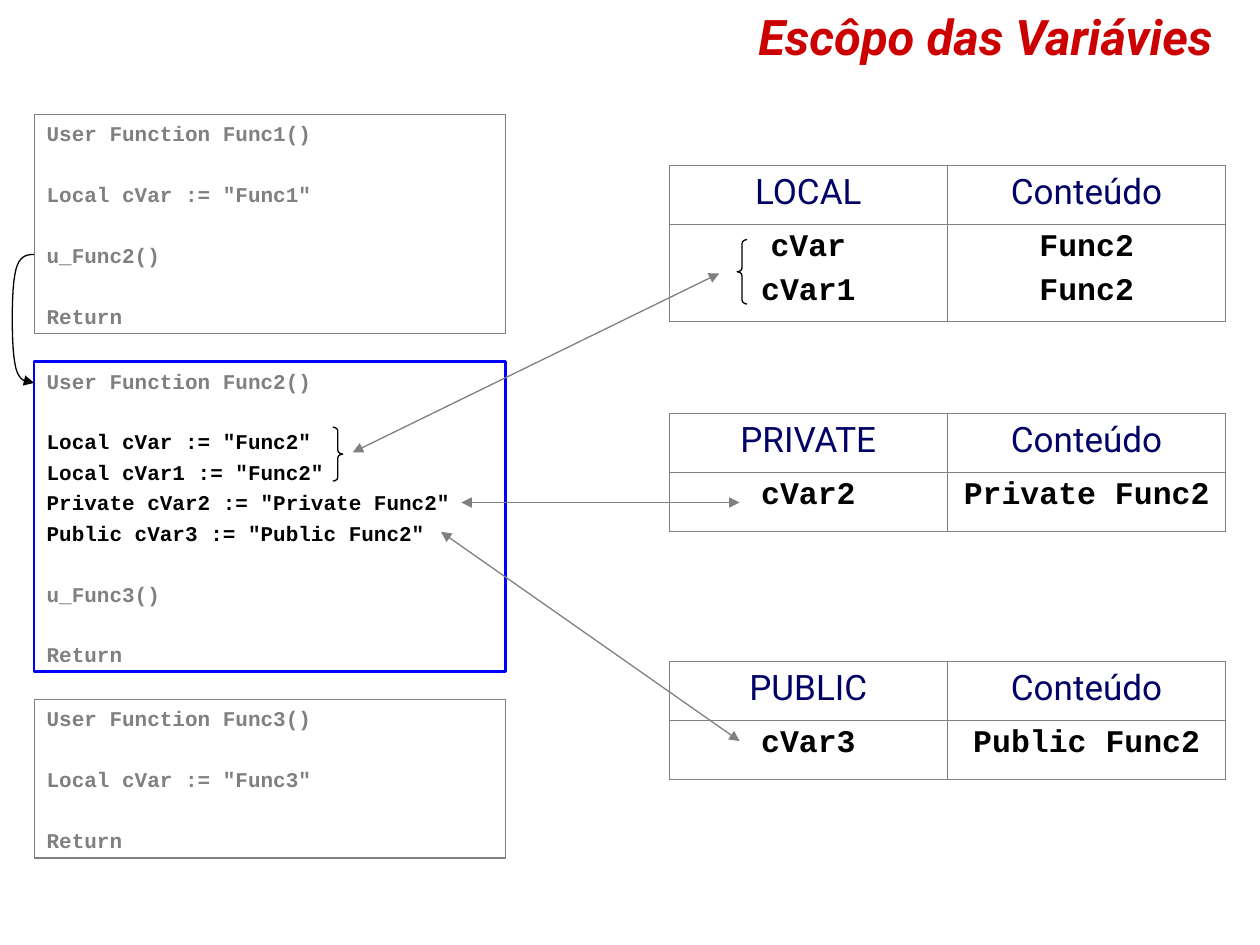
"""Builds a slide on variable scope: code boxes, scope tables and links."""
from lxml.etree import SubElement
from pptx import Presentation
from pptx.dml.color import RGBColor as RGB
from pptx.enum.shapes import MSO_CONNECTOR as CONN, MSO_SHAPE as SHAPE
from pptx.enum.text import MSO_ANCHOR as ANCHOR, PP_ALIGN as ALIGN
from pptx.oxml.ns import qn
from pptx.util import Cm, Pt

COLORS = {"gray": "808080", "blue": "0000FF", "navy": "000066",
          "red": "CC0000", "black": "000000"}
CODE, SANS = "Courier New", "Roboto"

BOXES = [
    (2.31, 4.42, "gray", 0.75, [
        ("gray", ["User Function Func1()"]),
        ("gray", ['Local cVar := "Func1"']),
        ("gray", ["u_Func2()"]),
        ("gray", ["Return"])]),
    (7.29, 6.25, "blue", 1.5, [
        ("gray", ["User Function Func2()"]),
        ("black", ['Local cVar := "Func2"', 'Local cVar1 := "Func2"',
                   'Private cVar2 := "Private Func2"',
                   'Public cVar3 := "Public Func2"']),
        ("gray", ["u_Func3()"]),
        ("gray", ["Return"])]),
    (14.1, 3.2, "gray", 0.75, [
        ("gray", ["User Function Func3()"]),
        ("gray", ['Local cVar := "Func3"']),
        ("gray", ["Return"])]),
]
TABLES = [
    ("LOCAL", ["cVar", "cVar1"], ["Func2", "Func2"], 1.95),
    ("PRIVATE", ["cVar2"], ["Private Func2"], 1.2),
    ("PUBLIC", ["cVar3"], ["Public Func2"], 1.2),
]
BRACES = [(SHAPE.RIGHT_BRACE, 6.71, 8.61, 1.09),
          (SHAPE.LEFT_BRACE, 14.86, 4.83, 1.3)]
LINKS = [(7.11, 9.12, 14.5, 5.51), (9.3, 10.13, 14.91, 10.13),
         (8.89, 10.72, 14.91, 14.94)]
CALL = [((0.69, 5.13), (0.53, 5.13), (0.36, 5.16), (0.3, 5.54)),
        ((0.3, 5.54), (0.23, 5.89), (0.23, 6.96), (0.3, 7.32)),
        ((0.3, 7.32), (0.36, 7.7), (0.53, 7.7), (0.69, 7.72))]


def tint(name):
    """Return the named colour."""
    return RGB.from_string(COLORS[name])


def style(par, face, size, color, bold=False, italic=False):
    """Set the font of a paragraph."""
    font = par.font
    font.name, font.size, font.bold, font.italic = face, Pt(size), bold, italic
    font.color.rgb = tint(color)


def stroke(shape, color, width=0.75):
    """Set the line of a shape."""
    shape.line.color.rgb = tint(color)
    shape.line.width = Pt(width)


def hollow(shape, color, width=0.75):
    """Leave a shape with only its outline."""
    shape.shadow.inherit = False
    shape.fill.background()
    stroke(shape, color, width)


def tip(shape, *ends):
    """Put triangle heads on the given line ends."""
    for end in ends:
        SubElement(shape.line._get_or_add_ln(), qn(f"a:{end}"), type="triangle")


def add_title(slide, text):
    """Add the slide title at the top right."""
    frame = slide.shapes.add_textbox(Cm(0.69), Cm(0), Cm(24), Cm(1.45)).text_frame
    frame.word_wrap = True
    par = frame.paragraphs[0]
    par.text, par.alignment = text, ALIGN.RIGHT
    style(par, SANS, 28, "red", True, True)


def add_code(slide, top, height, edge, width, groups):
    """Add a code box whose groups of lines are set apart."""
    box = slide.shapes.add_shape(SHAPE.RECTANGLE, Cm(0.69), Cm(top), Cm(9.5), Cm(height))
    hollow(box, edge, width)
    frame = box.text_frame
    frame.word_wrap, frame.vertical_anchor = True, ANCHOR.TOP
    frame.margin_top = Cm(0.13)
    for i, (color, lines) in enumerate(groups):
        for j, line in enumerate(lines):
            first = i == j == 0
            par = frame.paragraphs[0] if first else frame.add_paragraph()
            par.text, par.alignment = line, ALIGN.LEFT
            if not first:
                par.space_before = Pt(3 if j else 20.4)
            style(par, CODE, 12, color, True)


def fill_cell(cell, lines, *look):
    """Write centred lines in a cell and draw its borders."""
    cell.text = "\n".join(lines)
    for i, par in enumerate(cell.text_frame.paragraphs):
        par.alignment = ALIGN.CENTER
        if i:
            par.space_before = Pt(4.5)
        style(par, *look)
    props = cell._tc.get_or_add_tcPr()
    for side in ("lnL", "lnR", "lnT", "lnB"):
        edge = SubElement(props, qn(f"a:{side}"), w=str(Pt(0.45)))
        paint = SubElement(edge, qn("a:solidFill"))
        SubElement(paint, qn("a:srgbClr"), val=COLORS["gray"])
    cell.fill.background()


def add_scope(slide, top, scope, names, values, height):
    """Add the table of one scope."""
    table = slide.shapes.add_table(2, 2, Cm(13.49), Cm(top), Cm(11.22),
                                   Cm(1.19 + height)).table
    table.first_row = table.horz_banding = False
    table.rows[0].height, table.rows[1].height = Cm(1.19), Cm(height)
    for col, (head, lines) in enumerate(((scope, names), ("Conteúdo", values))):
        fill_cell(table.cell(0, col), [head], SANS, 20, "navy")
        fill_cell(table.cell(1, col), lines, CODE, 18, "black", True)


def add_brace(slide, kind, left, top, height):
    """Add a brace around a group of variables."""
    brace = slide.shapes.add_shape(kind, Cm(left), Cm(top), Cm(0.2), Cm(height))
    brace.adjustments[0] = 0.4
    hollow(brace, "black")


def add_link(slide, *ends):
    """Add a line with a head at both ends."""
    link = slide.shapes.add_connector(CONN.STRAIGHT, *map(Cm, ends))
    stroke(link, "gray")
    tip(link, "headEnd", "tailEnd")
    SubElement(link._element.spPr, qn("a:effectLst"))


def bend(curve, t):
    """Return the point at t on a cubic curve."""
    weights = ((1 - t) ** 3, 3 * t * (1 - t) ** 2, 3 * t * t * (1 - t), t ** 3)
    return tuple(Cm(sum(w * p[k] for w, p in zip(weights, curve))) for k in (0, 1))


def add_call(slide, curves, steps=10):
    """Add the curved arrow from the call to the called function."""
    points = [bend(curve, n / steps) for curve in curves for n in range(1, steps + 1)]
    path = slide.shapes.build_freeform(*bend(curves[0], 0))
    path.add_line_segments(points, close=False)
    arrow = path.convert_to_shape()
    hollow(arrow, "black")
    tip(arrow, "tailEnd")


def main():
    """Build and save the slide."""
    deck = Presentation()
    deck.slide_width, deck.slide_height = Cm(25.4), Cm(19.05)
    slide = deck.slides.add_slide(deck.slide_layouts[6])
    for box in BOXES:
        add_code(slide, *box)
    for i, scope in enumerate(TABLES):
        add_scope(slide, 3.33 + 5 * i, *scope)
    for brace in BRACES:
        add_brace(slide, *brace)
    for link in LINKS:
        add_link(slide, *link)
    add_call(slide, CALL)
    add_title(slide, "Escôpo das Variávies")
    deck.save("out.pptx")


if __name__ == "__main__":
    main()
